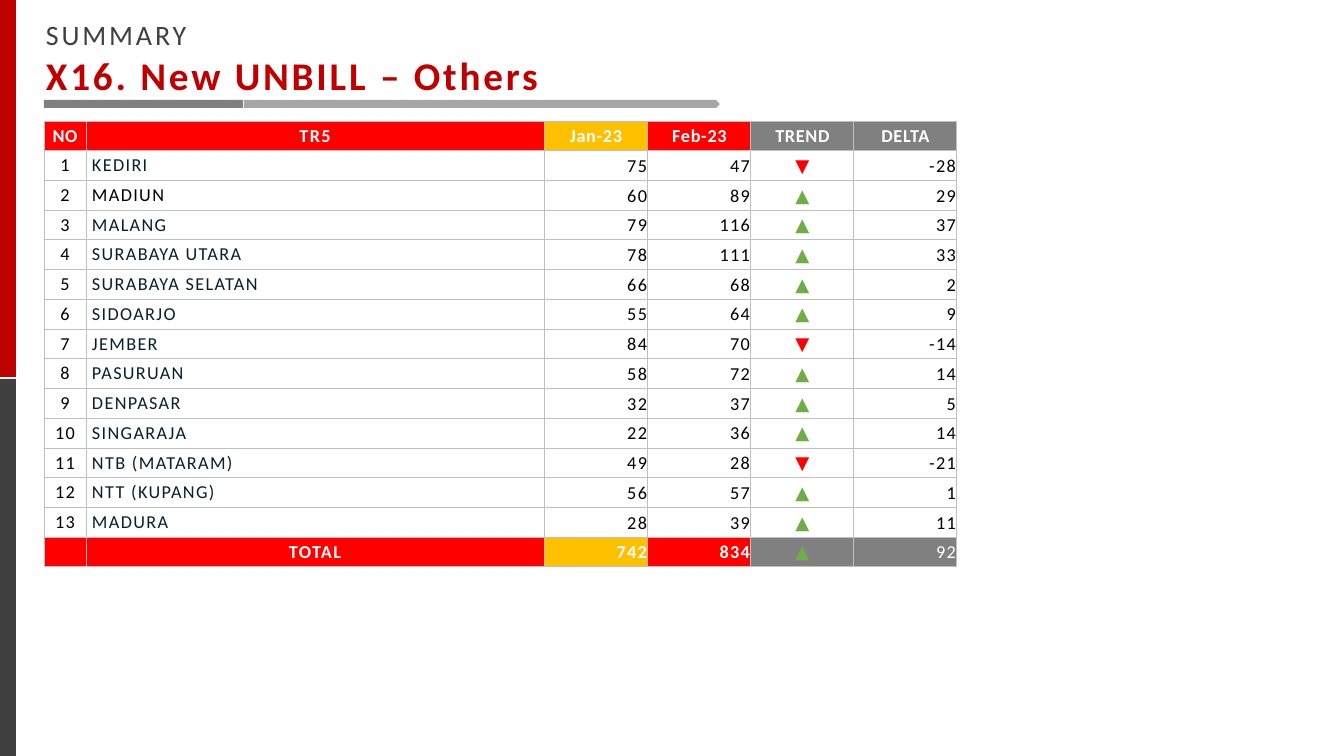
from lxml.etree import SubElement
from pptx import Presentation
from pptx.dml.color import RGBColor
from pptx.enum.shapes import MSO_SHAPE as Shape
from pptx.enum.text import MSO_ANCHOR as Anchor, MSO_AUTO_SIZE as AutoSize, PP_ALIGN as Align
from pptx.oxml.ns import qn
from pptx.util import Pt

KICKER = "SUMMARY"
TITLE = "X16. New UNBILL – Others"
HEADERS = ["NO", "TR5", "Jan-23", "Feb-23", "TREND", "DELTA"]
REGIONS = [
    ("KEDIRI", 75, 47),
    ("MADIUN", 60, 89),
    ("MALANG", 79, 116),
    ("SURABAYA UTARA", 78, 111),
    ("SURABAYA SELATAN", 66, 68),
    ("SIDOARJO", 55, 64),
    ("JEMBER", 84, 70),
    ("PASURUAN", 58, 72),
    ("DENPASAR", 32, 37),
    ("SINGARAJA", 22, 36),
    ("NTB (MATARAM)", 49, 28),
    ("NTT (KUPANG)", 56, 57),
    ("MADURA", 28, 39),
]
BLACK_NAME = "MADIUN"


class Theme:
    font = "Calibri"
    kicker_size, title_size, table_size = 20, 28, 13
    title_spacing, body_spacing, header_spacing = 2, 1, 0.5
    dark, crimson = "404040", "C00000"
    gray, light_gray, border = "808080", "A6A6A6", "BFBFBF"
    red, amber, green = "FF0000", "FFC000", "70AD47"
    white, black, navy = "FFFFFF", "000000", "091F30"


EMU_PER_PX = 914400 / 100.8
PAGE_WIDTH, PAGE_HEIGHT = 1344, 756
TABLE_LEFT, TABLE_TOP, TABLE_HEIGHT = 44, 121, 446
COLUMN_WIDTHS = [42, 458, 104, 103, 103, 103]
NAME_INDENT = 6
BAND_FILLS = [Theme.red, Theme.red, Theme.amber, Theme.red, Theme.gray, Theme.gray]
BODY_ALIGNS = [Align.CENTER, Align.LEFT, Align.RIGHT, Align.RIGHT, Align.CENTER, Align.RIGHT]
BARS = [
    (Shape.RECTANGLE, 0, 379, 16, 377, Theme.dark),
    (Shape.RECTANGLE, 0, 0, 16, 377, Theme.crimson),
    (Shape.PENTAGON, 244, 100, 476, 8, Theme.light_gray),
    (Shape.RECTANGLE, 44, 100, 199, 8, Theme.gray),
]


def px(length):
    return round(length * EMU_PER_PX)


def rgb(value):
    return RGBColor.from_string(value)


def add_span(para, text, size, color, spacing, bold=False):
    span = para.add_run()
    span.text = text
    span.font.name = Theme.font
    span.font.size = Pt(size)
    span.font.bold = bold
    span.font.color.rgb = rgb(color)
    span.font._element.set("spc", str(round(spacing * 100)))


def add_bar(page, kind, left, top, width, height, color):
    bar = page.shapes.add_shape(kind, px(left), px(top), px(width), px(height))
    bar.shadow.inherit = False
    bar.fill.solid()
    bar.fill.fore_color.rgb = rgb(color)
    bar.line.fill.background()


def add_heading(page):
    box = page.shapes.add_textbox(px(36), px(13), px(523), px(92))
    frame = box.text_frame
    frame.word_wrap = False
    frame.auto_size = AutoSize.SHAPE_TO_FIT_TEXT
    add_span(frame.paragraphs[0], KICKER, Theme.kicker_size, Theme.dark, Theme.title_spacing)
    add_span(frame.add_paragraph(), TITLE, Theme.title_size, Theme.crimson,
             Theme.title_spacing, bold=True)


def add_borders(cell):
    properties = cell._tc.get_or_add_tcPr()
    for side in ("a:lnL", "a:lnR", "a:lnT", "a:lnB"):
        line = SubElement(properties, qn(side), w=str(Pt(0.75)))
        fill = SubElement(line, qn("a:solidFill"))
        SubElement(fill, qn("a:srgbClr"), val=Theme.border)


def fill_cell(cell, text, align, color, spacing, bold, fill, margin, indent):
    cell.vertical_anchor = Anchor.MIDDLE
    cell.margin_left = px(margin + indent)
    cell.margin_right = cell.margin_top = px(margin)
    cell.margin_bottom = 0
    add_borders(cell)
    if fill:
        cell.fill.solid()
        cell.fill.fore_color.rgb = rgb(fill)
    else:
        cell.fill.background()
    para = cell.text_frame.paragraphs[0]
    para.alignment = align
    if text:
        add_span(para, text, Theme.table_size, color, spacing, bold)
    else:
        SubElement(para._p, qn("a:endParaRPr"), sz=str(Theme.table_size * 100))


def row_values(number, name, january, february):
    delta = february - january
    trend = "▲" if delta > 0 else "▼"
    return [number, name, str(january), str(february), trend, str(delta)]


def cell_style(values, column, is_header, is_total):
    """Return alignment, colour, letter spacing, boldness, fill, margin and indent."""
    is_band = is_header or is_total
    align = Align.CENTER if is_header or (is_total and column == 1) else BODY_ALIGNS[column]
    color = Theme.white if is_band else Theme.black
    if column == 4 and not is_header:
        color = Theme.green if values[column] == "▲" else Theme.red
    elif column == 1 and not is_band and values[column] != BLACK_NAME:
        color = Theme.navy
    spacing = Theme.header_spacing if is_header and column != 1 else Theme.body_spacing
    bold = is_header or (is_total and column < 4)
    fill = BAND_FILLS[column] if is_band else None
    margin = 1 if column >= (4 if is_header else 2) else 0
    indent = NAME_INDENT if column == 1 and not is_band else 0
    return align, color, spacing, bold, fill, margin, indent


def add_region_table(page):
    january_total = sum(january for _, january, _ in REGIONS)
    february_total = sum(february for _, _, february in REGIONS)
    rows = [HEADERS]
    rows += [row_values(str(number), *region) for number, region in enumerate(REGIONS, 1)]
    rows.append(row_values("", "TOTAL", january_total, february_total))

    table = page.shapes.add_table(len(rows), len(HEADERS), px(TABLE_LEFT), px(TABLE_TOP),
                                  px(sum(COLUMN_WIDTHS)), px(TABLE_HEIGHT)).table
    table.first_row = table.horz_banding = False
    for column, width in zip(table.columns, COLUMN_WIDTHS):
        column.width = px(width)
    for index, values in enumerate(rows):
        table.rows[index].height = px(TABLE_HEIGHT / len(rows))
        for column, text in enumerate(values):
            style = cell_style(values, column, index == 0, index == len(rows) - 1)
            fill_cell(table.cell(index, column), text, *style)


def main():
    deck = Presentation()
    deck.slide_width, deck.slide_height = px(PAGE_WIDTH), px(PAGE_HEIGHT)
    page = deck.slides.add_slide(deck.slide_layouts[6])
    for bar in BARS:
        add_bar(page, *bar)
    add_heading(page)
    add_region_table(page)
    deck.save("out.pptx")


if __name__ == "__main__":
    main()
